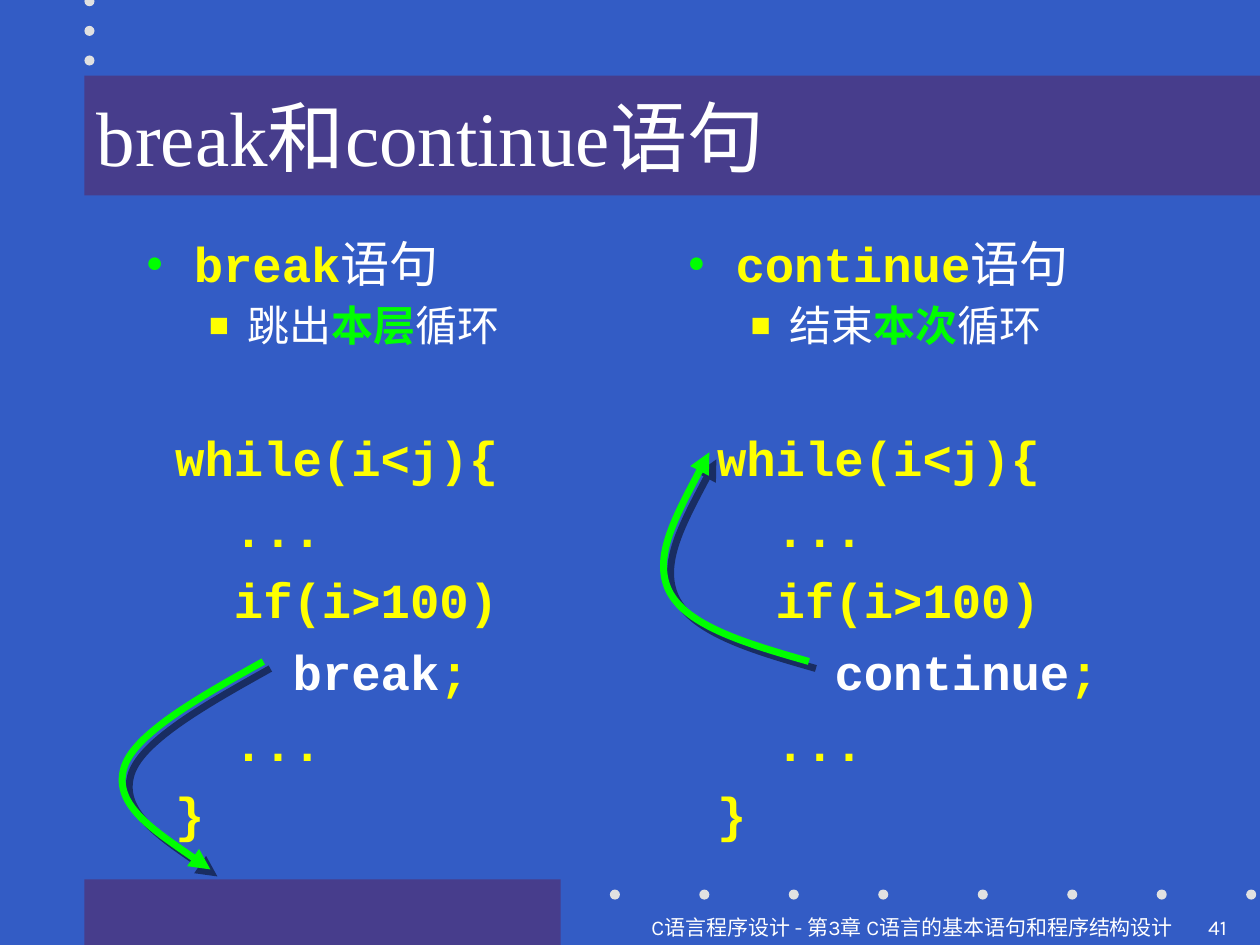
from lxml.etree import SubElement
from pptx import Presentation
from pptx.dml.color import RGBColor
from pptx.enum.shapes import MSO_SHAPE
from pptx.enum.text import MSO_ANCHOR, PP_ALIGN
from pptx.oxml.ns import qn
from pptx.util import Inches, Pt

BLUE = RGBColor(0x33, 0x5C, 0xC5)
PURPLE = RGBColor(0x47, 0x3D, 0x8C)
GREY = RGBColor(0xE1, 0xE1, 0xE1)
GREEN = RGBColor(0x00, 0xFF, 0x00)
YELLOW = RGBColor(0xFF, 0xFF, 0x00)
WHITE = RGBColor(0xFF, 0xFF, 0xFF)
BLACK = RGBColor(0x00, 0x00, 0x00)

SERIF, MONO, SANS = "Times New Roman", "Courier New", "Karla"
TITLE = {"size": Pt(44), "name": SERIF, "color": WHITE}
HEADING = {"size": Pt(28), "name": SERIF, "color": WHITE}
CODE = {"size": Pt(28), "name": MONO, "color": YELLOW, "bold": True}
KEYWORD = CODE | {"color": WHITE}
POINT = {"size": Pt(24), "name": SERIF, "color": WHITE}
STRONG = POINT | {"color": GREEN, "bold": True}
FOOTER = {"size": Pt(12), "name": SANS, "color": WHITE}

HEADING_PARA = {"line_spacing": Pt(37.5)}
POINT_PARA = {"level": 1, "space_before": Pt(6), "line_spacing": Pt(27)}
CODE_PARA = {"space_before": Pt(7), "line_spacing": Pt(33.6)}
FIRST_CODE_PARA = CODE_PARA | {"space_before": Pt(44.5)}


def add_span(para, text, style):
    span = para.add_run()
    span.text = text
    for key, value in style.items():
        if key == "color":
            span.font.color.rgb = value
        else:
            setattr(span.font, key, value)


def add_element(parent, tag, **attributes):
    element = SubElement(parent, qn(tag))
    for key, value in attributes.items():
        element.set(key, str(value))
    return element


def add_bullet(para, symbol, color, percent):
    props = para._p.get_or_add_pPr()
    add_element(add_element(props, "a:buClr"), "a:srgbClr", val=color)
    add_element(props, "a:buSzPct", val=percent * 1000)
    add_element(props, "a:buFont", typeface=SERIF)
    add_element(props, "a:buChar", char=symbol)


def fill_para(para, spans, layout, margin, hanging, bullet=None):
    props = para._p.get_or_add_pPr()
    props.set("marL", str(Inches(margin)))
    props.set("indent", str(-Inches(hanging)))
    if bullet:
        add_bullet(para, *bullet)
    for key, value in layout.items():
        setattr(para, key, value)
    for text, style in spans:
        add_span(para, text, style)


def add_block(page, shape_type, box, color):
    block = page.shapes.add_shape(shape_type, *map(Inches, box))
    block.shadow.inherit = False
    block.fill.solid()
    block.fill.fore_color.rgb = color
    block.line.fill.background()
    return block


def add_dots(page, left, top, count, step_x=0, step_y=0):
    for index in range(count):
        box = (left + index * step_x, top + index * step_y, 0.08, 0.08)
        add_block(page, MSO_SHAPE.OVAL, box, GREY)


def add_decor(page):
    add_block(page, MSO_SHAPE.RECTANGLE, (0.67, 6.98, 3.78, 0.52), PURPLE)
    add_dots(page, 0.67, -0.03, 3, step_y=0.235)
    for left in (4.84, 7.76):
        add_dots(page, left, 7.06, 4, step_x=0.71)


def add_title(page, box):
    frame = add_block(page, MSO_SHAPE.RECTANGLE, box, PURPLE).text_frame
    frame.word_wrap = True
    frame.vertical_anchor = MSO_ANCHOR.MIDDLE
    para = frame.paragraphs[0]
    para.alignment = PP_ALIGN.LEFT
    add_span(para, "break和continue语句", TITLE)


def add_column(page, box, keyword, verb, scope):
    frame = page.shapes.add_textbox(*map(Inches, box)).text_frame
    frame.word_wrap = True
    fill_para(frame.paragraphs[0], [(keyword, CODE), ("语句", HEADING)],
              HEADING_PARA, 0.38, 0.38, ("●", GREEN, 60))
    fill_para(frame.add_paragraph(),
              [(verb, POINT), (scope, STRONG), ("循环", POINT)],
              POINT_PARA, 0.81, 0.31, ("■", YELLOW, 80))
    code_lines = [
        [(" while(i<j){", CODE)],
        [("   ...", CODE)],
        [("   if(i>100)", CODE)],
        [("     ", CODE), (keyword, KEYWORD), (";", CODE)],
        [("   ...", CODE)],
        [(" }", CODE)],
    ]
    for index, spans in enumerate(code_lines):
        layout = CODE_PARA if index else FIRST_CODE_PARA
        fill_para(frame.add_paragraph(), spans, layout, 0.38, 0.38)


def add_curved_arrow(page, points):
    start, *others = [(Inches(x), Inches(y)) for x, y in points]
    builder = page.shapes.build_freeform(*start)
    builder.add_line_segments(others, close=False)
    arrow = builder.convert_to_shape()
    arrow.fill.background()
    arrow.line.color.rgb = GREEN
    arrow.line.width = Pt(4)
    arrow.shadow.inherit = False
    props = arrow._element.spPr

    outline = next(props.iter(qn("a:path")))
    segments = outline.findall(qn("a:lnTo"))
    for first in range(0, len(segments), 3):
        curve = add_element(outline, "a:cubicBezTo")
        for segment in segments[first:first + 3]:
            curve.append(segment[0])
            outline.remove(segment)

    add_element(props.find(qn("a:ln")), "a:tailEnd", type="triangle")
    shadow = add_element(props.find(qn("a:effectLst")), "a:outerShdw",
                         blurRad=0, dist=Pt(5.7), dir=45 * 60000,
                         algn="ctr", rotWithShape=0)
    tint = add_element(shadow, "a:srgbClr", val=BLACK)
    add_element(tint, "a:alpha", val=50000)


def add_footer(page, box, text, alignment):
    frame = page.shapes.add_textbox(*map(Inches, box)).text_frame
    frame.word_wrap = True
    para = frame.paragraphs[0]
    para.alignment = alignment
    add_span(para, text, FOOTER)


def main():
    deck = Presentation()
    deck.slide_width, deck.slide_height = Inches(10), Inches(7.5)
    page = deck.slides.add_slide(deck.slide_layouts[6])
    page.background.fill.solid()
    page.background.fill.fore_color.rgb = BLUE

    add_decor(page)
    add_title(page, (0.67, 0.6, 9.33, 0.95))
    add_column(page, (1.06, 1.75, 4.14, 5.23), "break", "跳出", "本层")
    add_column(page, (5.36, 1.75, 4.14, 5.23), "continue", "结束", "本次")
    add_curved_arrow(page, [(2.09, 5.25), (1.57, 5.54), (1.04, 5.84), (0.98, 6.11),
                            (0.91, 6.39), (1.29, 6.64), (1.67, 6.9)])
    add_curved_arrow(page, [(6.42, 5.25), (5.93, 5.11), (5.45, 4.97), (5.31, 4.69),
                            (5.18, 4.42), (5.41, 4.01), (5.63, 3.59)])
    add_footer(page, (0, 7.21, 9.41, 0.28),
               "C语言程序设计 - 第3章 C语言的基本语句和程序结构设计", PP_ALIGN.RIGHT)
    add_footer(page, (9.49, 7.21, 0.51, 0.28), "41", PP_ALIGN.LEFT)
    deck.save("out.pptx")


if __name__ == "__main__":
    main()
